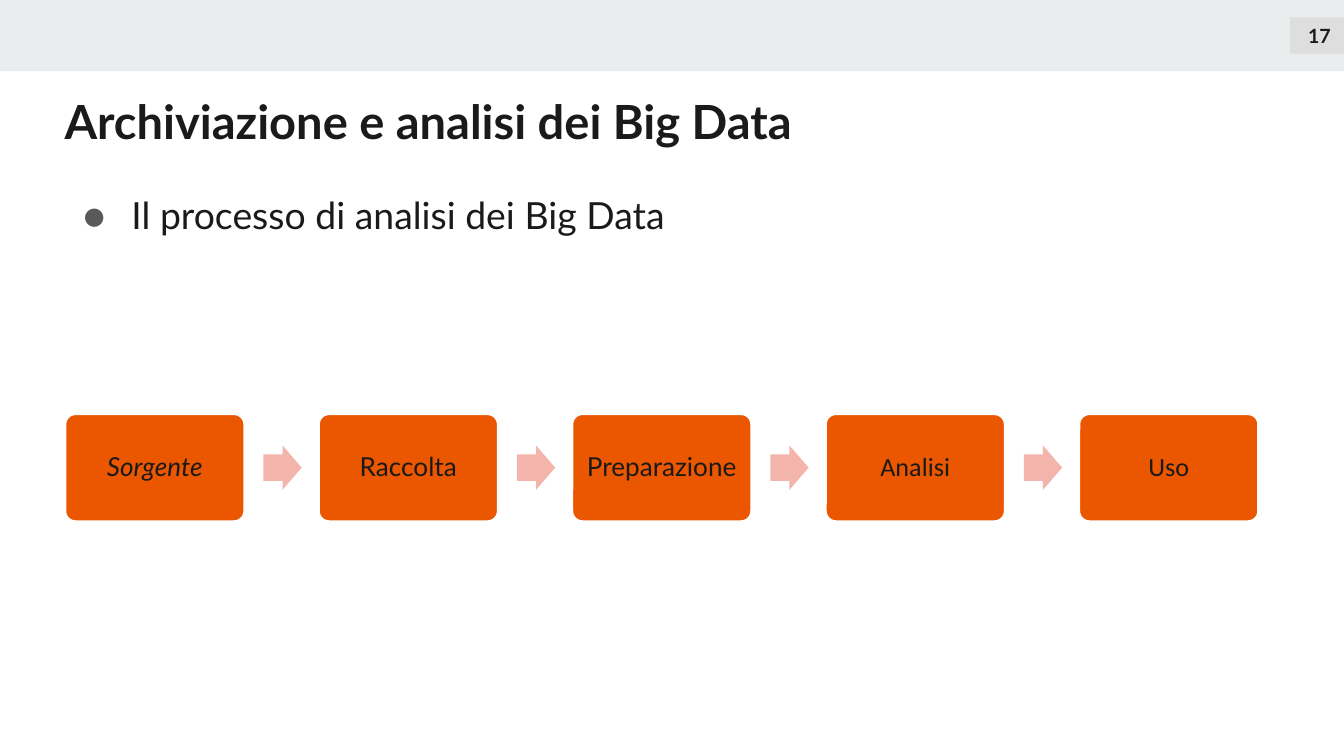
import dataclasses

import lxml.etree
import pptx
import pptx.dml.color
import pptx.enum.shapes
import pptx.enum.text
import pptx.oxml.ns
import pptx.util

COLORS = {
    "ink": "1A1A1A",
    "white": "FFFFFF",
    "band": "E9EDEE",
    "badge": "DEDEDE",
    "bullet": "595959",
    "step": "EB5600",
    "arrow": "F3B4AB",
}
COLUMNS = 100
ROWS = 56.25
CELL = pptx.util.Inches(0.1)
SHAPES = pptx.enum.shapes.MSO_SHAPE
ALIGN = pptx.enum.text.PP_ALIGN
ANCHOR = pptx.enum.text.MSO_ANCHOR


@dataclasses.dataclass(frozen=True)
class Area:
    column: float
    row: float
    columns: float
    rows: float

    def shifted(self, columns: float) -> "Area":
        return dataclasses.replace(self, column=self.column + columns)

    def place(self) -> dict:
        return {
            "left": round(self.column * CELL),
            "top": round(self.row * CELL),
            "width": round(self.columns * CELL),
            "height": round(self.rows * CELL),
        }


@dataclasses.dataclass(frozen=True)
class Style:
    size: float
    align: ALIGN = ALIGN.LEFT
    anchor: ANCHOR = ANCHOR.MIDDLE
    margin: float = 0.1
    spacing: float = 1.0
    bold: bool = False


@dataclasses.dataclass(frozen=True)
class Step:
    label: str
    font: str = "Lato"
    italic: bool = False


TITLE = Style(25.2, bold=True)
BODY = Style(20, ALIGN.JUSTIFY, ANCHOR.TOP, spacing=1.15)
NUMBER = Style(10.5, ALIGN.RIGHT, bold=True)
LABEL = Style(14, ALIGN.CENTER, margin=0.06, spacing=0.9)

STEPS = [
    Step("Sorgente", italic=True),
    Step("Raccolta"),
    Step("Preparazione"),
    Step("Analisi", font="Calibri"),
    Step("Uso", font="Calibri"),
]
STEP_AREA = Area(4.8, 30.75, 13.45, 8.1)
ARROW_AREA = Area(19.6, 33.15, 2.85, 3.3)
STEP_PITCH = 18.86


def color(name: str) -> pptx.dml.color.RGBColor:
    return pptx.dml.color.RGBColor.from_string(COLORS[name])


def apply(target, values: dict) -> None:
    for name, value in values.items():
        setattr(target, name, value)


def write(box, text: str, style: Style, font: str = "Lato", italic: bool = False):
    margin = pptx.util.Inches(style.margin)
    frame = box.text_frame
    apply(frame, {
        "word_wrap": True,
        "auto_size": pptx.enum.text.MSO_AUTO_SIZE.NONE,
        "vertical_anchor": style.anchor,
        "margin_left": margin,
        "margin_right": margin,
        "margin_top": margin,
        "margin_bottom": margin,
    })
    para = frame.paragraphs[0]
    apply(para, {"alignment": style.align, "line_spacing": style.spacing})
    span = para.add_run()
    span.text = text
    apply(span.font, {
        "name": font,
        "size": pptx.util.Pt(style.size),
        "bold": style.bold,
        "italic": italic,
    })
    span.font.color.rgb = color("ink")
    return para


def add_bullet(para) -> None:
    name = pptx.oxml.ns.qn
    properties = para._p.get_or_add_pPr()
    for key, inches in {"marL": 0.5, "indent": -0.36}.items():
        properties.set(key, str(pptx.util.Inches(inches)))
    tint = lxml.etree.SubElement(properties, name("a:buClr"))
    lxml.etree.SubElement(tint, name("a:srgbClr"), val=COLORS["bullet"])
    lxml.etree.SubElement(properties, name("a:buFont"), typeface="Lato")
    lxml.etree.SubElement(properties, name("a:buChar"), char="●")


def add_block(page, kind: SHAPES, area: Area, fill: str, adjustments=()):
    block = page.shapes.add_shape(kind, **area.place())
    block.shadow.inherit = False
    block.fill.solid()
    block.fill.fore_color.rgb = color(fill)
    block.line.fill.background()
    for index, value in enumerate(adjustments):
        block.adjustments[index] = value
    return block


def add_step(page, step: Step, area: Area) -> None:
    block = add_block(page, SHAPES.ROUNDED_RECTANGLE, area, "step", [0.1])
    block.line.color.rgb = color("white")
    block.line.width = pptx.util.Pt(2)
    write(block, step.label, LABEL, step.font, step.italic)


def main() -> None:
    deck = pptx.Presentation()
    apply(deck, {"slide_width": COLUMNS * CELL, "slide_height": round(ROWS * CELL)})
    page = deck.slides.add_slide(deck.slide_layouts.get_by_name("Title Only"))

    add_block(page, SHAPES.RECTANGLE, Area(0, 0, COLUMNS, 5.3), "band")

    title = page.shapes.title
    apply(title, Area(3.8, 6, 92.1, 5.9).place())
    write(title, "Archiviazione e analisi dei Big Data", TITLE)

    body = page.shapes.add_textbox(**Area(3.8, 12.8, 92.1, 40.1).place())
    add_bullet(write(body, "Il processo di analisi dei Big Data", BODY))

    badge = add_block(page, SHAPES.RECTANGLE, Area(96, 1.3, 4, 2.7), "badge")
    write(badge, "17", NUMBER)

    for index, step in enumerate(STEPS):
        offset = index * STEP_PITCH
        add_step(page, step, STEP_AREA.shifted(offset))
        if index < len(STEPS) - 1:
            arrow = ARROW_AREA.shifted(offset)
            add_block(page, SHAPES.RIGHT_ARROW, arrow, "arrow", [0.6, 0.5])

    deck.save("out.pptx")


if __name__ == "__main__":
    main()
